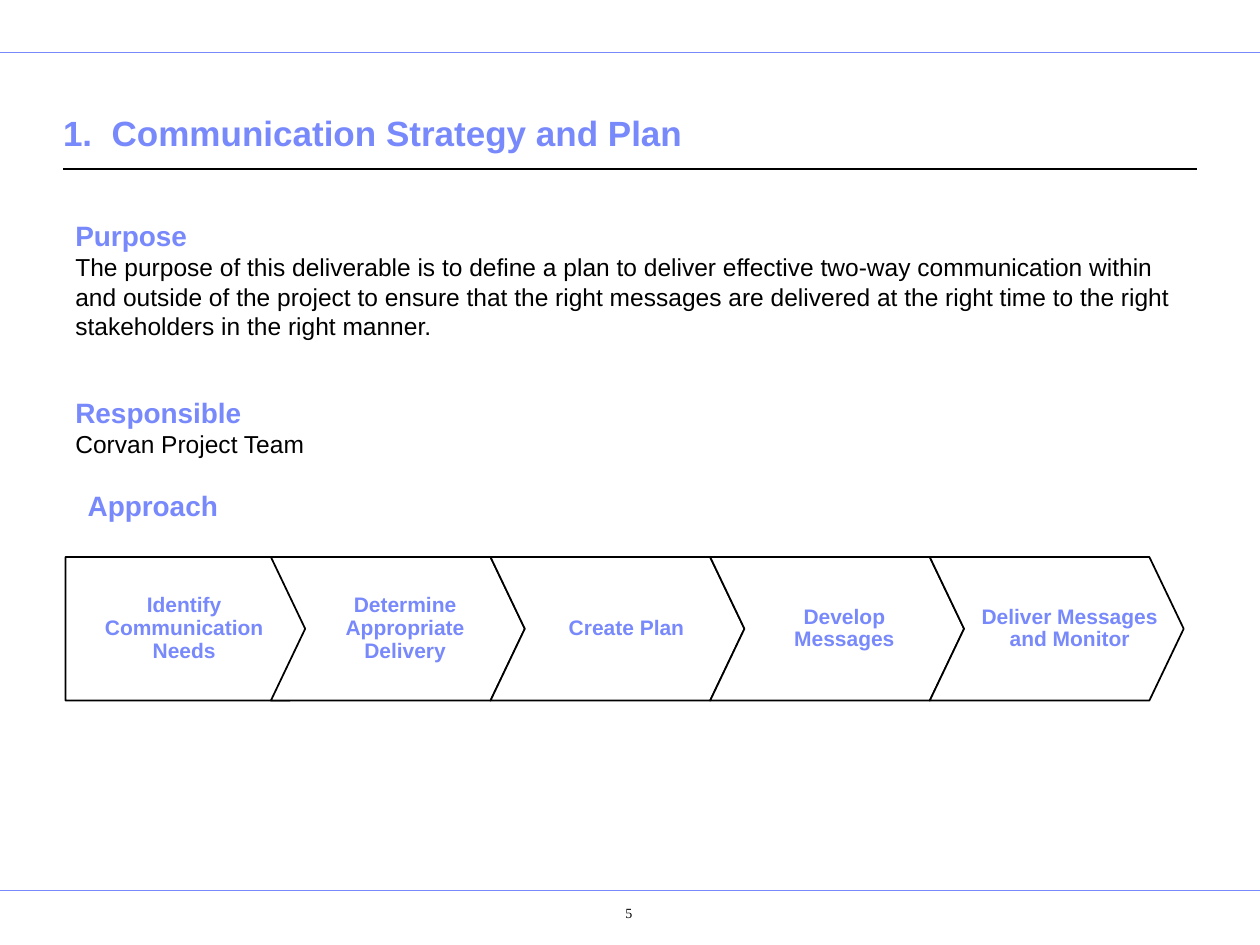
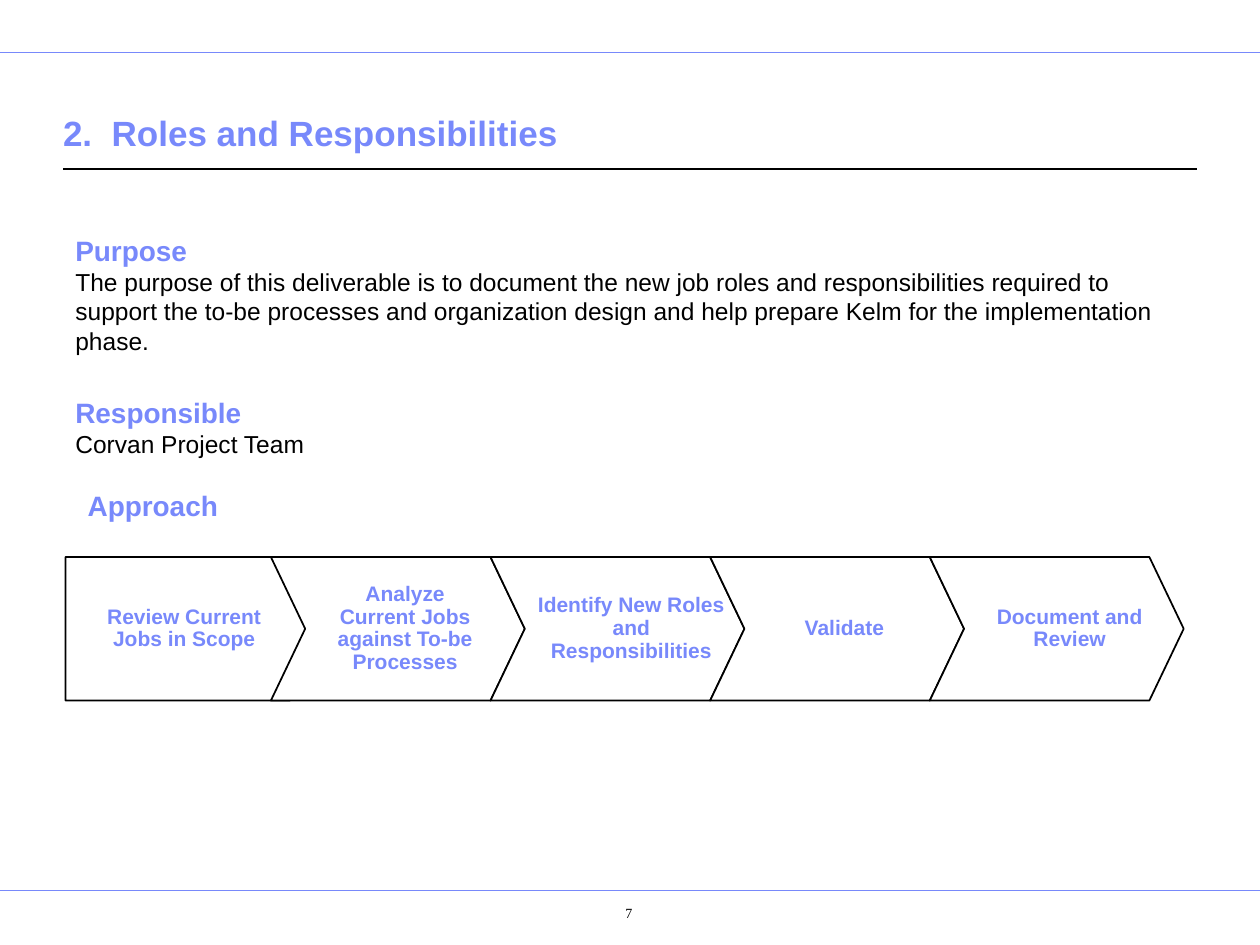
from pptx import Presentation
from pptx.dml.color import RGBColor
from pptx.enum.shapes import MSO_CONNECTOR
from pptx.enum.text import MSO_ANCHOR, MSO_AUTO_SIZE, PP_ALIGN
from pptx.oxml.ns import qn
from pptx.util import Pt
from lxml.etree import SubElement

ACCENT, BLACK, WHITE = "7889FB", "000000", "FFFFFF"
TEAM = "Corvan Project Team"

SLIDES = [
    {
        "title": "1.\tCommunication Strategy and Plan",
        "purpose": "The purpose of this deliverable is to define a plan to deliver effective "
                   "two-way communication within and outside of the project to ensure that the "
                   "right messages are delivered at the right time to the right stakeholders "
                   "in the right manner.",
        "purpose_top": 121.5,
        "steps": [
            ("Identify Communication Needs", 56, 98.5),
            ("Determine Appropriate Delivery", 185, 93),
            ("Create Plan", 311.5, 93),
            ("Develop Messages", 436, 93),
            ("Deliver Messages and Monitor", 555, 112.5),
        ],
        "page": "5",
    },
    {
        "title": "2.\tRoles and Responsibilities",
        "purpose": "The purpose of this deliverable is to document the new job roles and "
                   "responsibilities required to support the to-be processes and organization "
                   "design and help prepare Kelm for the implementation phase.",
        "purpose_top": 129.8,
        "steps": [
            ("Review Current Jobs in Scope", 56, 98.5),
            ("Analyze Current Jobs against To-be Processes", 185, 93),
            ("Identify New Roles and Responsibilities", 303.5, 114.5),
            ("Validate", 436, 93),
            ("Document and Review", 555, 112.5),
        ],
        "page": "7",
    },
]

RULES = [(0, 720, 30, ACCENT, 0.5), (0, 720, 509, ACCENT, 0.5), (36, 684, 96.5, BLACK, 0.75)]
BAND_TOP, BAND_HEIGHT = 318.3, 82
FIRST_LEFT, FIRST_SHOULDER, FIRST_TIP = 37.4, 165.6, 197.3
CHEVRON_LEFT, CHEVRON_STEP, CHEVRON_NOTCH = 154.8, 125.5, 19.6


def color(value):
    return RGBColor.from_string(value)


def style(paragraph, size, value=ACCENT, bold=True, name="Arial", align=PP_ALIGN.LEFT):
    paragraph.alignment = align
    paragraph.font.size = Pt(size)
    paragraph.font.bold = bold
    paragraph.font.name = name
    paragraph.font.color.rgb = color(value)


def add_text(slide, box, texts, margins=(7.2, 3.6, 7.2, 3.6), anchor=MSO_ANCHOR.TOP):
    frame = slide.shapes.add_textbox(*map(Pt, box)).text_frame
    frame.word_wrap = True
    frame.vertical_anchor = anchor
    frame.margin_left, frame.margin_top, frame.margin_right, frame.margin_bottom = map(Pt, margins)
    frame.text = "\n".join(texts)
    return frame.paragraphs


def add_title(slide, text):
    title = slide.shapes.title
    title.left, title.top, title.width, title.height = Pt(36), Pt(46), Pt(648), Pt(45.4)
    frame = title.text_frame
    frame.auto_size = MSO_AUTO_SIZE.NONE
    frame.vertical_anchor = MSO_ANCHOR.BOTTOM
    frame.margin_left = frame.margin_right = 0
    frame.margin_top = frame.margin_bottom = Pt(3.6)
    frame.text = text
    paragraph = frame.paragraphs[0]
    tabs = SubElement(paragraph._p.get_or_add_pPr(), qn("a:tabLst"))
    SubElement(tabs, qn("a:tab"), pos=str(Pt(27.8)), algn="l")
    style(paragraph, 20)


def add_rule(slide, left, right, top, value, width):
    rule = slide.shapes.add_connector(MSO_CONNECTOR.STRAIGHT, Pt(left), Pt(top), Pt(right), Pt(top))
    rule.line.color.rgb = color(value)
    rule.line.width = Pt(width)
    SubElement(rule._element.spPr, qn("a:effectLst"))


def add_section(slide, top, height, heading, body):
    heading_paragraph, body_paragraph = add_text(slide, (36, top, 648, height), [heading, body])
    style(heading_paragraph, 16)
    style(body_paragraph, 14, BLACK, False)


def add_arrow(slide, left, shoulder, tip, notch):
    middle, bottom = BAND_TOP + BAND_HEIGHT / 2, BAND_TOP + BAND_HEIGHT
    points = [(shoulder, BAND_TOP), (tip, middle), (shoulder, bottom), (left, bottom)]
    if notch:
        points.append((left + notch, middle))
    builder = slide.shapes.build_freeform(Pt(left), Pt(BAND_TOP))
    builder.add_line_segments([(Pt(x), Pt(y)) for x, y in points], close=True)
    arrow = builder.convert_to_shape()
    arrow.shadow.inherit = False
    arrow.fill.solid()
    arrow.fill.fore_color.rgb = color(WHITE)
    arrow.line.color.rgb = color(BLACK)
    arrow.line.width = Pt(1)


def add_process(slide, steps):
    add_arrow(slide, FIRST_LEFT, FIRST_SHOULDER, FIRST_TIP, 0)
    for index in range(len(steps) - 1):
        left = CHEVRON_LEFT + index * CHEVRON_STEP
        shoulder = left + CHEVRON_STEP
        add_arrow(slide, left, shoulder, shoulder + CHEVRON_NOTCH, CHEVRON_NOTCH)
    for text, left, width in steps:
        box = (left, BAND_TOP, width, BAND_HEIGHT)
        label = add_text(slide, box, [text], (3.6,) * 4, MSO_ANCHOR.MIDDLE)[0]
        label.line_spacing = 0.9
        style(label, 12, align=PP_ALIGN.CENTER)


def build_slide(presentation, content):
    slide = presentation.slides.add_slide(presentation.slide_layouts[5])
    for rule in RULES:
        add_rule(slide, *rule)
    add_title(slide, content["title"])
    add_section(slide, content["purpose_top"], 74, "Purpose", content["purpose"])
    add_section(slide, 222.3, 42, "Responsible", TEAM)
    approach = add_text(slide, (43, 275.4, 110, 26.6), ["Approach"])[0]
    style(approach, 16)
    add_process(slide, content["steps"])
    page = add_text(slide, (307, 512, 83, 25), [content["page"]], (28.8, 5, 7.2, 3.6))[0]
    style(page, 8, BLACK, False, "Times New Roman", PP_ALIGN.CENTER)


def main():
    presentation = Presentation()
    presentation.slide_width, presentation.slide_height = Pt(720), Pt(540)
    for content in SLIDES:
        build_slide(presentation, content)
    presentation.save("out.pptx")


if __name__ == "__main__":
    main()
